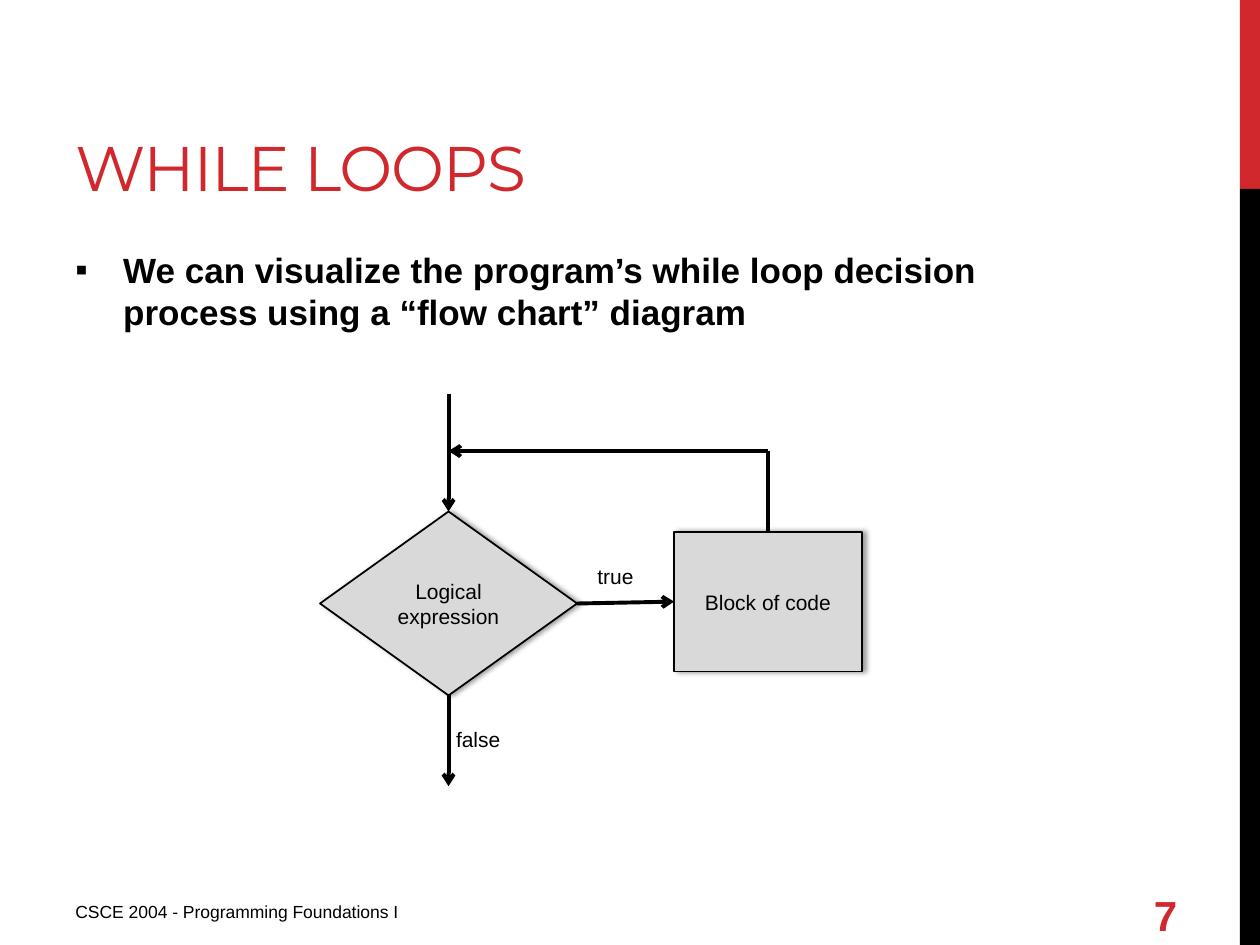
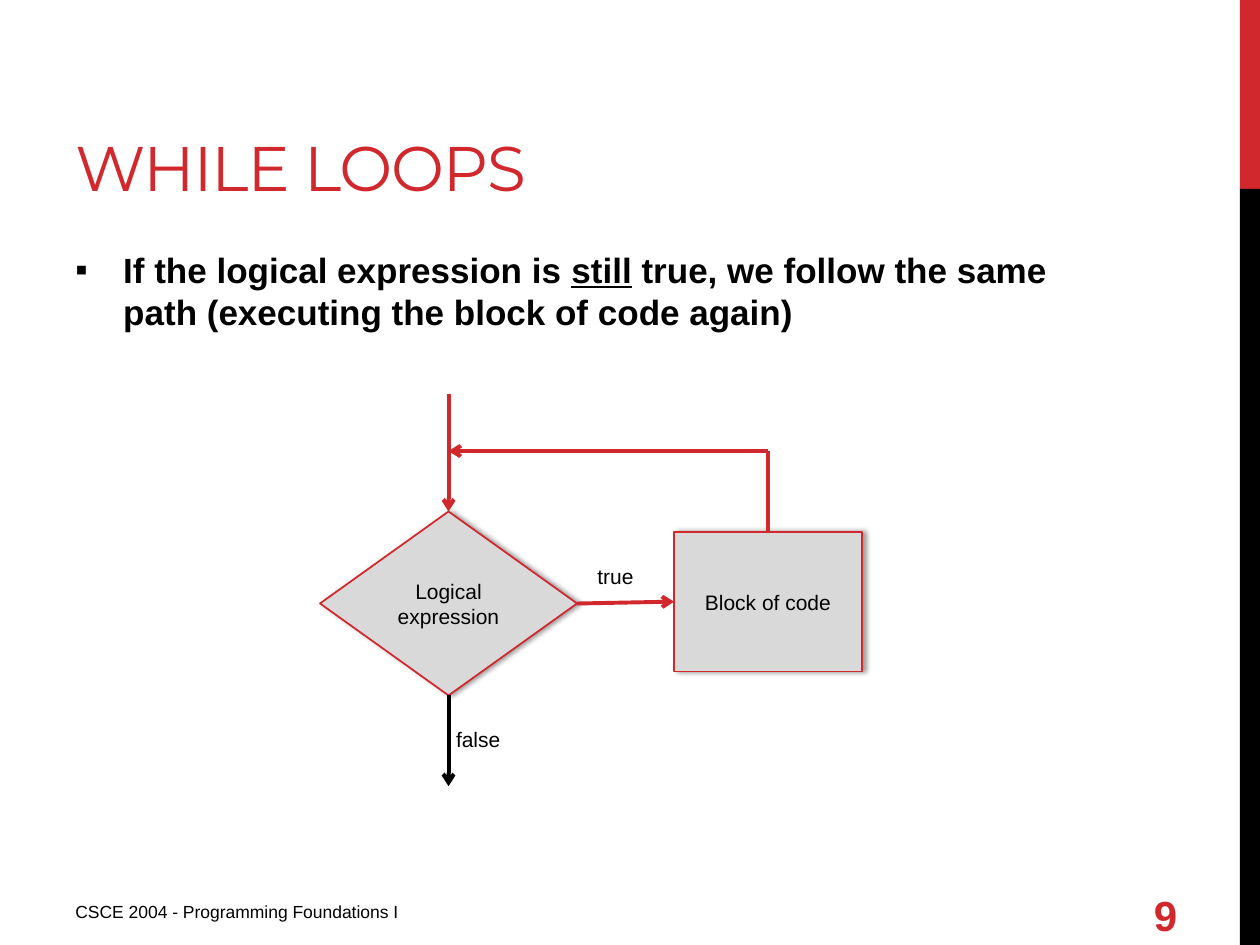
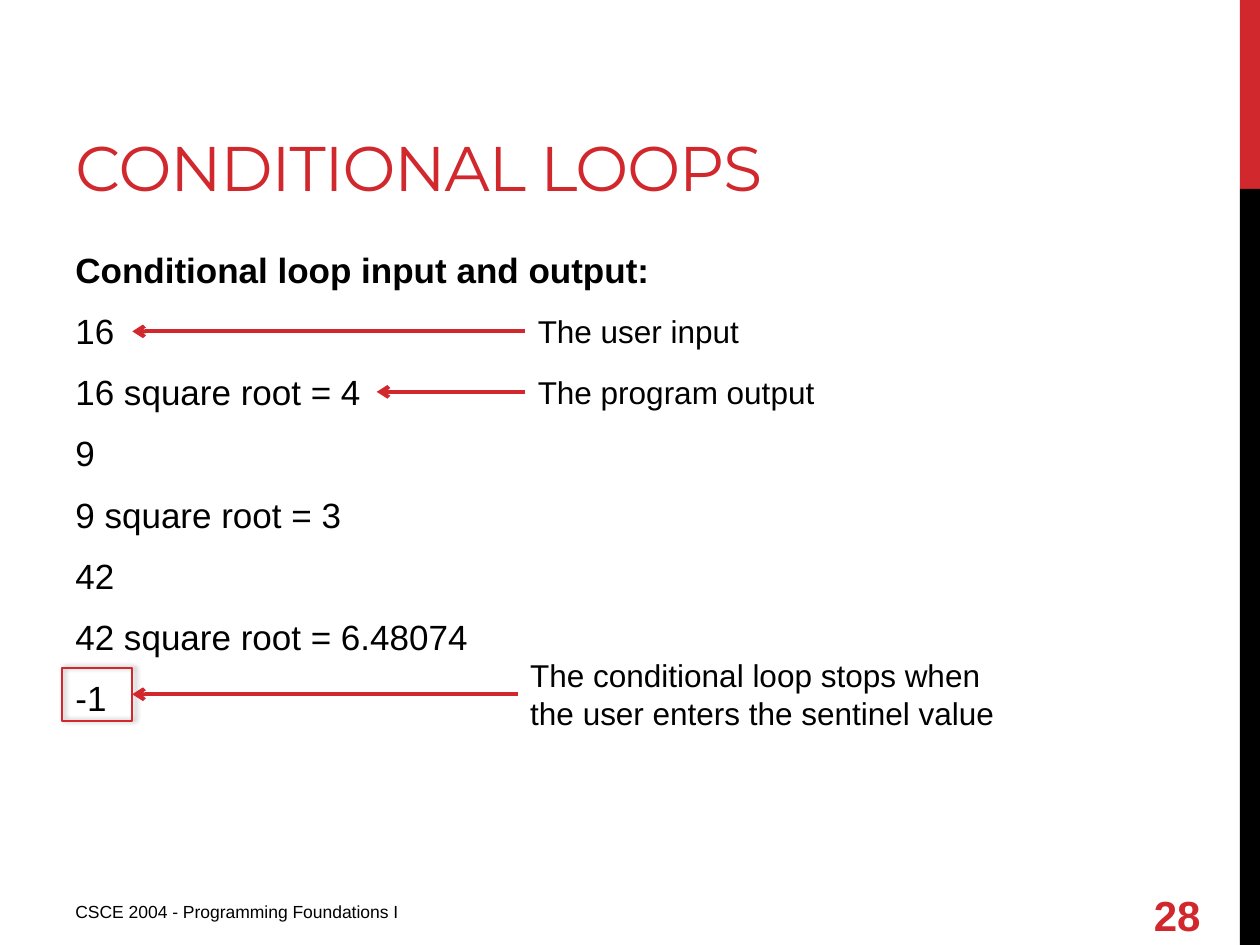
from lxml.etree import SubElement
from pptx import Presentation
from pptx.dml.color import RGBColor
from pptx.enum.shapes import MSO_CONNECTOR, MSO_SHAPE
from pptx.enum.text import MSO_ANCHOR, PP_ALIGN
from pptx.oxml.ns import qn
from pptx.util import Inches, Pt

RED = "D1282E"
BLACK = "000000"
GRAY = "D9D9D9"
WHITE = "FFFFFF"

TITLE = {"name": "Montserrat", "size": Pt(36), "color": RED}
BODY = {"name": "Arial", "size": Pt(20), "color": BLACK}
BOLD = BODY | {"bold": True}
NOTE = BODY | {"size": Pt(18)}
LABEL = BODY | {"size": Pt(12)}
FOOTER = BODY | {"size": Pt(10)}
NUMBER = BOLD | {"size": Pt(24), "color": RED}
CENTERED = {"alignment": PP_ALIGN.CENTER}
BODY_BOX = (0.5, 1.92, 8.33, 4.78)
FLOW_BOX = (2.54, 3.13, 4.3, 3.11)


def rgb(color):
    return RGBColor.from_string(color)


def inches(*lengths):
    return [Inches(length) for length in lengths]


def add_run(paragraph, text, style):
    run = paragraph.add_run()
    run.text = text
    for name, value in style.items():
        if name == "color":
            run.font.color.rgb = rgb(value)
        else:
            setattr(run.font, name, value)
    return run


def format_paragraph(paragraph, settings):
    for name, value in settings.items():
        setattr(paragraph, name, value)


def prepare_frame(shape, anchor):
    frame = shape.text_frame
    frame.word_wrap = True
    frame.vertical_anchor = anchor
    return frame.paragraphs[0]


def add_text(shapes, box, text, style, anchor=MSO_ANCHOR.TOP, settings={}):
    shape = shapes.add_textbox(*inches(*box))
    paragraph = prepare_frame(shape, anchor)
    format_paragraph(paragraph, settings)
    add_run(paragraph, text, style)
    return shape


def add_box(shapes, kind, box, fill=None, line=None, shadow=False, text=None):
    shape = shapes.add_shape(kind, *inches(*box))
    shape.shadow.inherit = False
    if fill:
        shape.fill.solid()
        shape.fill.fore_color.rgb = rgb(fill)
    else:
        shape.fill.background()
    if line:
        shape.line.color.rgb = rgb(line)
        shape.line.width = Pt(1)
    else:
        shape.line.fill.background()
    if shadow:
        add_shadow(shape)
    if text:
        paragraph = prepare_frame(shape, MSO_ANCHOR.MIDDLE)
        format_paragraph(paragraph, CENTERED)
        add_run(paragraph, text, LABEL)
    return shape


def add_shadow(shape):
    effects = shape._element.spPr.find(qn("a:effectLst"))
    outer = SubElement(effects, qn("a:outerShdw"), blurRad=str(Pt(3.1)),
                       dist=str(Pt(1.8)), dir="0", rotWithShape="0")
    color = SubElement(outer, qn("a:srgbClr"), val=BLACK)
    SubElement(color, qn("a:alpha"), val="40000")


def add_line(shapes, start, end, color, arrow=True, source=None, target=None):
    line = shapes.add_connector(MSO_CONNECTOR.STRAIGHT, *inches(*start, *end))
    line.line.color.rgb = rgb(color)
    line.line.width = Pt(2.25)
    if arrow:
        SubElement(line.line._get_or_add_ln(), qn("a:tailEnd"), type="arrow")
    SubElement(line._element.spPr, qn("a:effectLst"))
    if source:
        line.begin_connect(*source)
    if target:
        line.end_connect(*target)


def add_base_slide(presentation, title, number):
    slide = presentation.slides.add_slide(presentation.slide_layouts[6])
    shapes = slide.shapes
    add_box(shapes, MSO_SHAPE.RECTANGLE, (9.84, 0, 0.16, 1.5), RED)
    add_box(shapes, MSO_SHAPE.RECTANGLE, (9.84, 1.5, 0.16, 6), BLACK)
    heading = add_text(shapes, (0.5, 0.17, 6.33, 1.5), title, TITLE, MSO_ANCHOR.BOTTOM)
    heading.text_frame.paragraphs[0].runs[0].font._element.set("spc", "-60")
    add_text(shapes, (0.5, 7.1, 3.75, 0.31), "CSCE 2004 - Programming Foundations I", FOOTER)
    add_text(shapes, (9.06, 7.06, 0.74, 0.4), str(number), NUMBER, MSO_ANCHOR.MIDDLE)
    return slide


def add_bullet(shapes, box, runs):
    shape = shapes.add_textbox(*inches(*box))
    paragraph = prepare_frame(shape, MSO_ANCHOR.TOP)
    properties = paragraph._p.get_or_add_pPr()
    properties.set("marL", str(Inches(0.38)))
    properties.set("indent", str(Inches(-0.38)))
    SubElement(properties, qn("a:buFont"), typeface="Arial")
    SubElement(properties, qn("a:buChar"), char="▪")
    for text, underline in runs:
        add_run(paragraph, text, BOLD | {"underline": underline})


def add_flowchart(slide, box, color):
    left, top, width, height = box
    shapes = slide.shapes.add_group_shape().shapes
    middle = left + 1.02
    loop_top = top + 0.45
    block_left, block_width = left + 2.81, 1.49
    block_middle = block_left + block_width / 2
    decision = add_box(shapes, MSO_SHAPE.DIAMOND, (left, top + 0.93, 2.04, 1.46),
                       GRAY, color, True, "Logical expression")
    block = add_box(shapes, MSO_SHAPE.RECTANGLE, (block_left, top + 1.09, block_width, 1.11),
                    GRAY, color, True, "Block of code")
    add_text(shapes, (left + 1.84, top + 1.29, 1.01, 0.3), "true", LABEL, settings=CENTERED)
    add_box(shapes, MSO_SHAPE.RECTANGLE, (left + 0.75, top + 2.59, 1.01, 0.3),
            WHITE, text="false")
    entry, corner = (middle, top), (block_middle, loop_top)
    exit_point = (middle, top + height)
    add_line(shapes, corner, corner, color, False, source=(block, 0))
    add_line(shapes, entry, entry, color, target=(decision, 0))
    add_line(shapes, exit_point, exit_point, BLACK, source=(decision, 2))
    add_line(shapes, entry, entry, color, source=(decision, 3), target=(block, 1))
    add_line(shapes, corner, (middle, loop_top), color)


def add_flow_slide(presentation, number, runs, color):
    slide = add_base_slide(presentation, "WHILE LOOPS", number)
    add_bullet(slide.shapes, BODY_BOX, runs)
    add_flowchart(slide, FLOW_BOX, color)


def add_console(shapes, box, heading, lines):
    shape = add_text(shapes, box, heading, BOLD, settings={"space_after": Pt(6)})
    for line in lines:
        paragraph = shape.text_frame.add_paragraph()
        format_paragraph(paragraph, {"space_before": Pt(5), "space_after": Pt(6)})
        add_run(paragraph, line, BODY)


def add_note(shapes, box, text, tip, target=None):
    left, top, width, height = box
    center = top + height / 2
    add_line(shapes, (left, center), (tip, center), RED, target=target)
    add_text(shapes, box, text, NOTE)


def add_output_slide(presentation, number):
    shapes = add_base_slide(presentation, "CONDITIONAL LOOPS", number).shapes
    roots = {"16": "4", "9": "3", "42": "6.48074"}
    lines = [line for value, root in roots.items()
             for line in (value, f"{value} square root = {root}")]
    add_console(shapes, BODY_BOX, "Conditional loop input and output:", lines + ["-1"])
    sentinel = add_box(shapes, MSO_SHAPE.RECTANGLE, (0.49, 5.3, 0.56, 0.42),
                       line=RED, shadow=True)
    add_note(shapes, (4.11, 5.16, 4.09, 0.7),
             "The conditional loop stops when the user enters the sentinel value",
             1.05, (sentinel, 3))
    add_note(shapes, (4.17, 2.43, 2.63, 0.4), "The user input", 1.05)
    add_note(shapes, (4.17, 2.91, 2.63, 0.4), "The program output", 2.99)


def main():
    presentation = Presentation()
    presentation.slide_width, presentation.slide_height = inches(10, 7.5)
    add_flow_slide(presentation, 7, [
        ("We can visualize the program’s while loop decision process "
         "using a “flow chart” diagram", False)], BLACK)
    add_flow_slide(presentation, 9, [
        ("If the logical expression is ", False), ("still", True),
        (" true, we follow the same path (executing the block of code again)", False)], RED)
    add_output_slide(presentation, 28)
    presentation.save("out.pptx")


if __name__ == "__main__":
    main()
